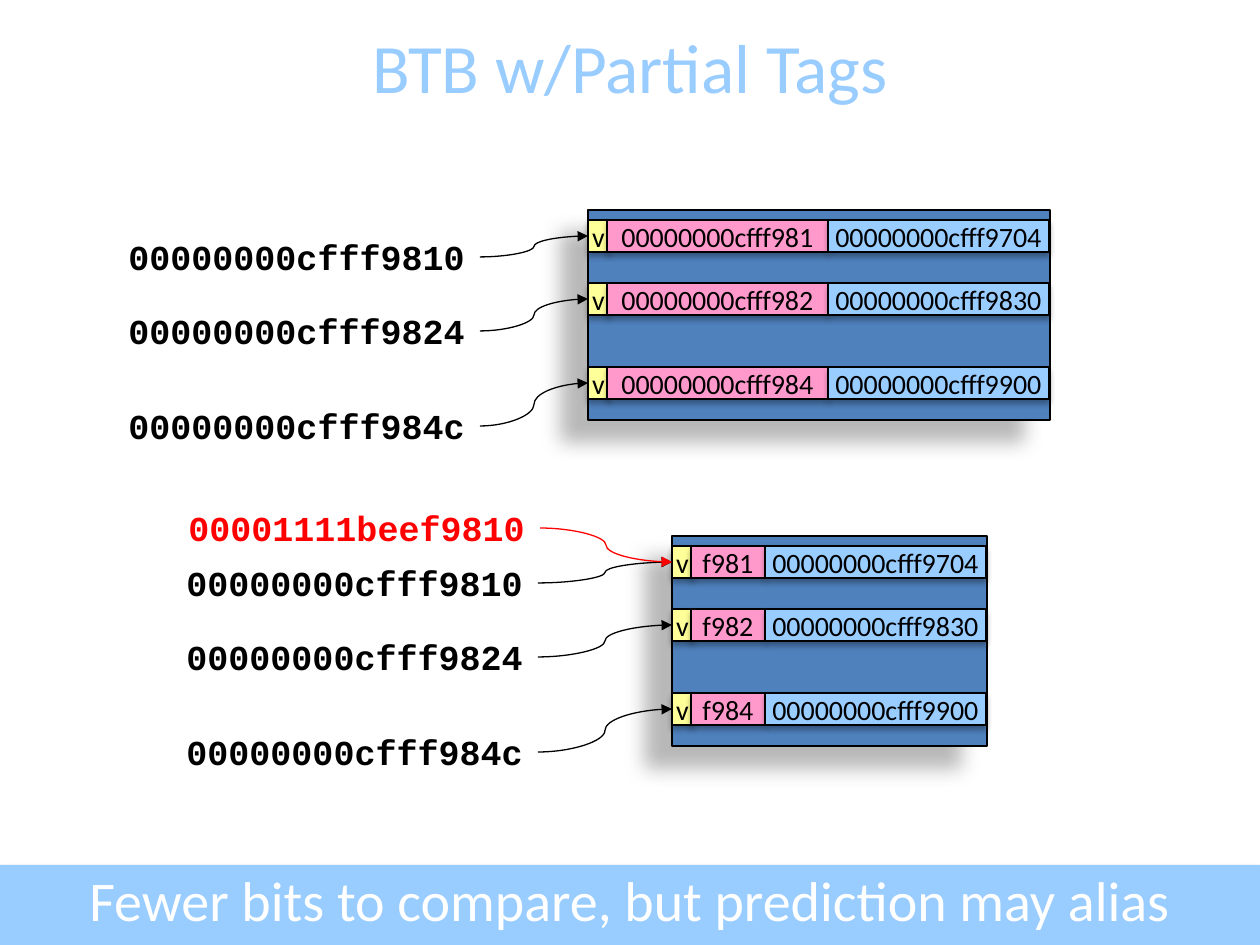
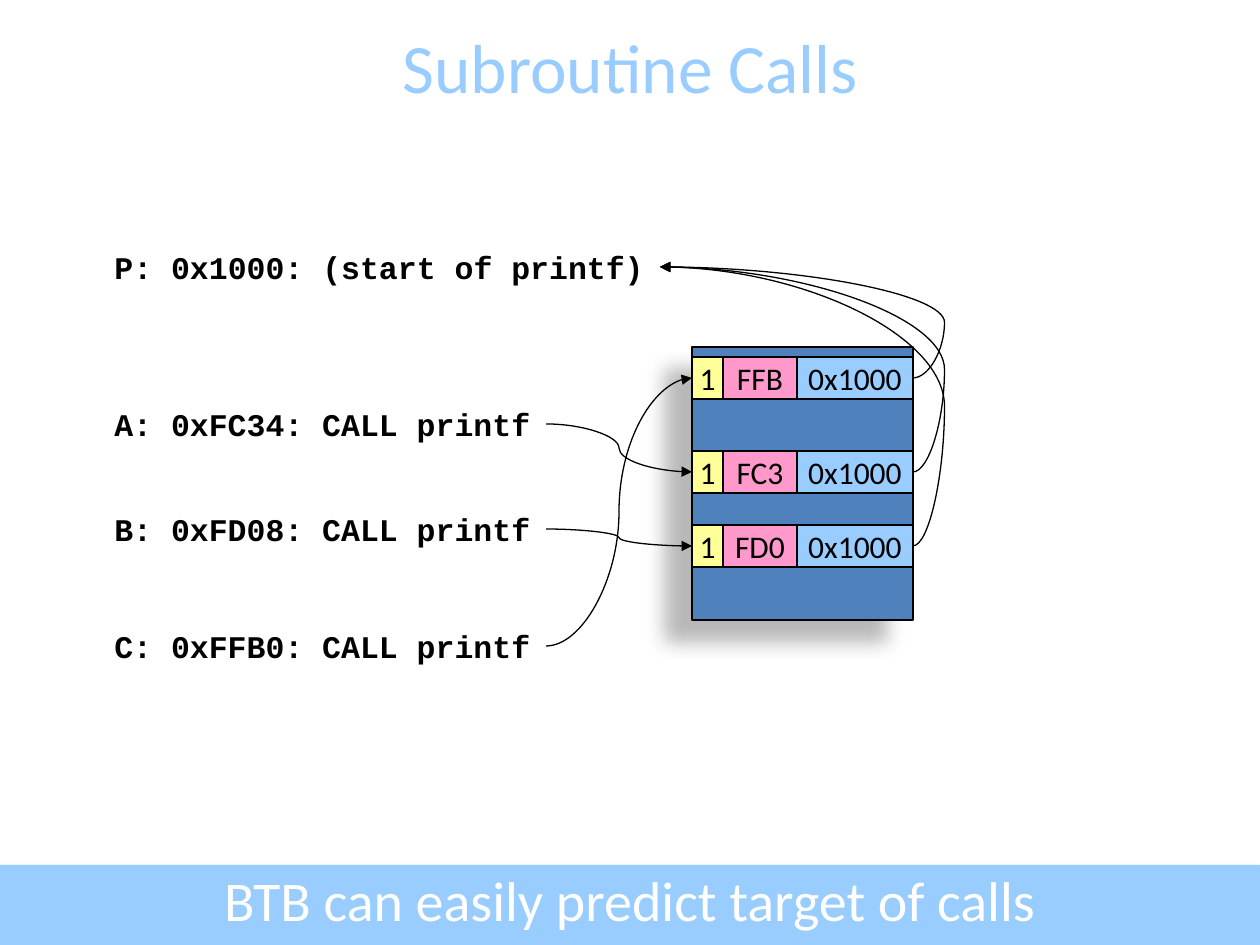
from lxml.etree import SubElement
from pptx import Presentation
from pptx.dml.color import RGBColor
from pptx.enum.shapes import MSO_CONNECTOR, MSO_SHAPE
from pptx.enum.text import MSO_ANCHOR, MSO_AUTO_SIZE, PP_ALIGN
from pptx.oxml.ns import qn
from pptx.util import Emu, Pt

SCALE = 914400 / 126
PAGE_WIDTH, PAGE_HEIGHT = 1260, 945
COLORS = {
    "sky": "99CCFF",
    "steel": "4F81BD",
    "yellow": "FFFF99",
    "pink": "FF99CC",
    "black": "000000",
    "red": "FF0000",
    "white": "FFFFFF",
}
FONTS = {
    "title": {"name": "Calibri", "size": Pt(39.6), "bold": False},
    "caption": {"name": "Calibri", "size": Pt(32), "bold": False},
    "address": {"name": "Courier New", "size": Pt(20), "bold": True},
    "code": {"name": "Courier New", "size": Pt(18), "bold": True},
    "entry": {"name": "Calibri", "size": Pt(16), "bold": False},
    "short entry": {"name": "Calibri", "size": Pt(18), "bold": False},
}
SHADOWS = {
    "band": {"alpha": 35, "blur": 3.1, "distance": 1.8, "angle": 90},
    "table": {"alpha": 28, "blur": 11.8, "distance": 19.7, "angle": 141},
    "entry": {"alpha": 32, "blur": 3.5, "distance": 2.2, "angle": 90},
}


def pixels(*lengths):
    return [Emu(round(length * SCALE)) for length in lengths]


def color(name):
    return RGBColor.from_string(COLORS[name])


def set_all(target, values):
    for name, value in values.items():
        setattr(target, name, value)


class Slides:
    def __init__(self):
        self.deck = Presentation()
        self.deck.slide_width, self.deck.slide_height = pixels(PAGE_WIDTH, PAGE_HEIGHT)
        self.page = None

    def start(self, title):
        self.page = self.deck.slides.add_slide(self.deck.slide_layouts[6])
        self.rectangle((0, 865, PAGE_WIDTH, 80), "sky", shadow="band")
        box = self.page.shapes.add_textbox(*pixels(0, 26, PAGE_WIDTH, 79))
        self.put_text(box, title, "title", "sky", align=PP_ALIGN.CENTER,
                      word_wrap=True, vertical_anchor=MSO_ANCHOR.MIDDLE)

    def put_text(self, shape, text, font, ink, align=PP_ALIGN.LEFT, **frame):
        set_all(shape.text_frame, frame)
        para = shape.text_frame.paragraphs[0]
        para.alignment = align
        span = para.add_run()
        span.text = text
        set_all(span.font, FONTS[font])
        span.font.color.rgb = color(ink)

    def rectangle(self, place, fill, line=None, shadow=None):
        shape = self.page.shapes.add_shape(MSO_SHAPE.RECTANGLE, *pixels(*place))
        shape.shadow.inherit = False
        shape.fill.solid()
        shape.fill.fore_color.rgb = color(fill)
        if line:
            shape.line.color.rgb = color(line)
            shape.line.width = Pt(0.75)
        else:
            shape.line.fill.background()
        if shadow:
            self.cast(shape, **SHADOWS[shadow])
        return shape

    def cast(self, shape, alpha, blur, distance, angle):
        effects = shape._element.spPr.find(qn("a:effectLst"))
        outer = SubElement(effects, qn("a:outerShdw"), blurRad=str(Pt(blur)),
                           dist=str(Pt(distance)), dir=str(angle * 60000), rotWithShape="0")
        tint = SubElement(outer, qn("a:srgbClr"), val=COLORS["black"])
        SubElement(tint, qn("a:alpha"), val=str(alpha * 1000))

    def label(self, text, left, top, width, height, font, ink="black"):
        box = self.page.shapes.add_textbox(*pixels(left, top, width, height))
        self.put_text(box, text, font, ink, word_wrap=False,
                      auto_size=MSO_AUTO_SIZE.SHAPE_TO_FIT_TEXT)
        return left + width, top + height / 2

    def table(self, place, columns, row_height, rows, font, shadow=None):
        left, top, width, height = place
        self.rectangle(place, "steel", "black", "table")
        for offset, *texts in rows:
            for text, (start, size), fill in zip(texts, columns, ("yellow", "pink", "sky")):
                cell = self.rectangle((left + start, top + offset, size, row_height),
                                      fill, "black", shadow)
                self.put_text(cell, text, font, "black", align=PP_ALIGN.CENTER,
                              word_wrap=False, vertical_anchor=MSO_ANCHOR.MIDDLE,
                              margin_left=0, margin_right=0)
        return [(left, top + row[0] + row_height / 2) for row in rows]

    def arrow(self, start, end, ink="black", bend=None):
        link = self.page.shapes.add_connector(MSO_CONNECTOR.CURVE, *pixels(*start, *end))
        link.line.color.rgb = color(ink)
        link.line.width = Pt(0.75)
        properties = link._element.spPr
        SubElement(properties.find(qn("a:ln")), qn("a:tailEnd"), type="triangle")
        SubElement(properties, qn("a:effectLst"))
        if bend is not None:
            guides = properties.find(qn("a:prstGeom")).find(qn("a:avLst"))
            SubElement(guides, qn("a:gd"), name="adj1", fmla=f"val {round(bend * 100000)}")

    def caption(self, text):
        box = self.page.shapes.add_textbox(*pixels(0, 859, PAGE_WIDTH, 79))
        self.put_text(box, text, "caption", "white", align=PP_ALIGN.CENTER, word_wrap=True,
                      auto_size=MSO_AUTO_SIZE.SHAPE_TO_FIT_TEXT)


slides = Slides()

slides.start("BTB w/Partial Tags")
branches = [
    (19, "00000000cfff9810", 10, "00000000cfff981", "00000000cfff9704"),
    (93, "00000000cfff9824", 73, "00000000cfff982", "00000000cfff9830"),
    (188, "00000000cfff984c", 157, "00000000cfff984", "00000000cfff9900"),
]
for label_left, left, top, width, tag_width, digits in (
    (116, 588, 210, 462, 221, 15),
    (174, 672, 536, 315, 74, 4),
):
    columns = [(0, 21), (19, tag_width), (19 + tag_width, 221)]
    rows = [(offset, "v", tag[-digits:], target) for _, _, offset, tag, target in branches]
    entries = slides.table((left, top, width, 210), columns, 32, rows, "entry", "entry")
    for (offset, address, *_), entry in zip(branches, entries):
        source = slides.label(address, label_left, top + offset, 364, 56, "address")
        slides.arrow(source, entry)
alias = slides.label("00001111beef9810", 176, 500, 364, 56, "address", "red")
slides.arrow(alias, entries[0], "red")
slides.caption("Fewer bits to compare, but prediction may alias")

slides.start("Subroutine Calls")
rows = [(offset, "1", tag, "0x1000") for offset, tag in ((10, "FFB"), (104, "FC3"), (178, "FD0"))]
columns = [(0, 31), (31, 74), (105, 116)]
entries = slides.table((692, 347, 221, 273), columns, 42, rows, "short entry")
calls = [
    ("A: 0xFC34: CALL printf", 399, entries[1]),
    ("B: 0xFD08: CALL printf", 504, entries[2]),
    ("C: 0xFFB0: CALL printf", 621, entries[0]),
]
for text, top, entry in calls:
    slides.arrow(slides.label(text, 102, top, 444, 50, "code"), entry)
target = slides.label("P: 0x1000: (start of printf)", 102, 242, 558, 50, "code")
for left, middle in entries:
    slides.arrow((left + 221, middle), target, bend=-0.125)
slides.caption("BTB can easily predict target of calls")

slides.deck.save("out.pptx")
